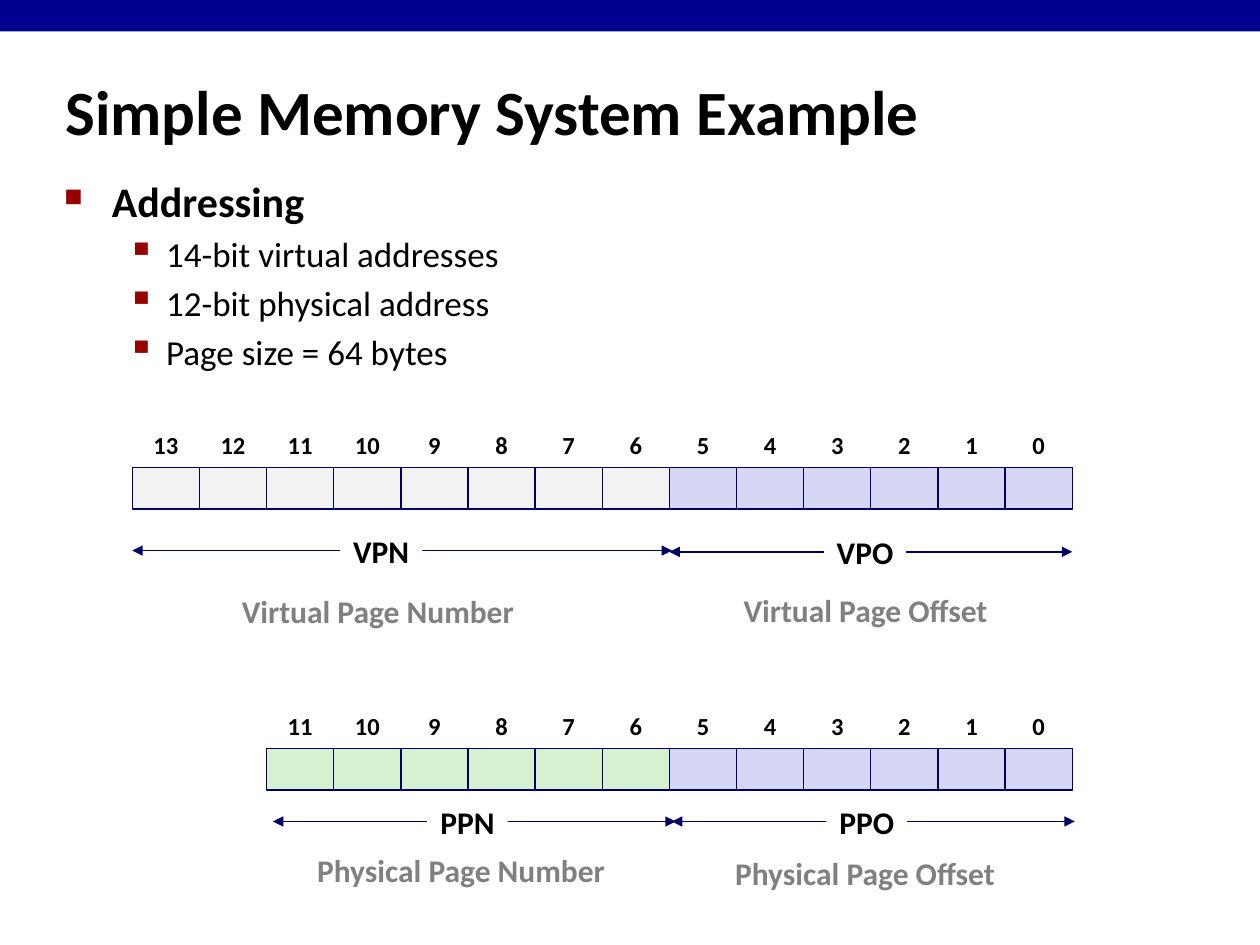
from dataclasses import dataclass

from lxml import etree
from pptx import Presentation
from pptx.dml.color import RGBColor
from pptx.enum.shapes import MSO_CONNECTOR, MSO_SHAPE
from pptx.enum.text import MSO_ANCHOR, PP_ALIGN
from pptx.oxml.ns import qn
from pptx.util import Inches, Pt

RECT, LINE = MSO_SHAPE.RECTANGLE, MSO_CONNECTOR.STRAIGHT
LEFT, CENTER = PP_ALIGN.LEFT, PP_ALIGN.CENTER
TOP, MIDDLE = MSO_ANCHOR.TOP, MSO_ANCHOR.MIDDLE


@dataclass(frozen=True)
class Theme:
    """Hold the font, colours and type sizes."""
    font: str = "Calibri"
    ink: str = "000000"
    gray: str = "808080"
    white: str = "FFFFFF"
    band: str = "000090"
    edge: str = "000066"
    mark: str = "990000"
    virtual: str = "F2F2F2"
    frame: str = "D5F1CF"
    offset: str = "D6D6F5"
    title: int = 36
    head: int = 24
    item: int = 20
    label: int = 18
    bit: int = 14


THEME = Theme()
COLS, START, END = 14, 1.05, 8.51
STEP = (END - START) / COLS
CELL = 0.33
SPLIT = 6


def col(n):
    """Return the left edge of a grid column."""
    return START + n * STEP


def box(left, top, width, height):
    """Turn a box in inches into lengths."""
    return [Inches(v) for v in (left, top, width, height)]


def style(para, size, color=THEME.ink, bold=True):
    """Format the runs of a paragraph."""
    for run in para.runs:
        font = run.font
        font.name, font.size, font.bold = THEME.font, Pt(size), bold
        font.color.rgb = RGBColor.from_string(color)


def rect(shapes, area, fill, edge=None):
    """Add a plain filled rectangle."""
    shape = shapes.add_shape(RECT, *box(*area))
    shape.shadow.inherit = False
    shape.fill.solid()
    shape.fill.fore_color.rgb = RGBColor.from_string(fill)
    if edge:
        shape.line.color.rgb = RGBColor.from_string(edge)
        shape.line.width = Pt(0.75)
    else:
        shape.line.fill.background()
    return shape


def write(shape, text, size, color=THEME.ink, before=6.8, anchor=TOP):
    """Set one centred line of text in a shape."""
    frame = shape.text_frame
    frame.text = text
    frame.word_wrap = False
    frame.vertical_anchor = anchor
    para = frame.paragraphs[0]
    para.alignment = CENTER
    para.line_spacing, para.space_before = 0.88, Pt(before)
    style(para, size, color)


def bullet(para, char, share, margin, hang):
    """Give a paragraph a coloured bullet and a hanging indent."""
    props = para._p.get_or_add_pPr()
    props.set("marL", str(Inches(margin)))
    props.set("indent", str(-Inches(hang)))
    tint = etree.SubElement(props, qn("a:buClr"))
    etree.SubElement(tint, qn("a:srgbClr"), val=THEME.mark)
    etree.SubElement(props, qn("a:buSzPct"), val=str(share * 1000))
    etree.SubElement(props, qn("a:buChar"), char=char)


def title(slide, text):
    """Place and format the title."""
    shape = slide.shapes.title
    shape.left, shape.top, shape.width, shape.height = box(0.42, 0.56, 7.99, 0.63)
    frame = shape.text_frame
    frame.text = text
    frame.vertical_anchor = MIDDLE
    frame.paragraphs[0].alignment = LEFT
    style(frame.paragraphs[0], THEME.title)


def outline(slide, head, items):
    """Add a bold heading with bulleted items below it."""
    frame = slide.shapes.add_textbox(*box(0.41, 1.34, 9.09, 1.73)).text_frame
    frame.word_wrap = True
    para = frame.paragraphs[0]
    para.text = head
    para.space_before = Pt(4.8)
    style(para, THEME.head)
    bullet(para, "■", 60, 0.38, 0.38)
    for item in items:
        para = frame.add_paragraph()
        para.text, para.level = item, 1
        para.space_before = Pt(4)
        style(para, THEME.item, bold=False)
        bullet(para, "▪", 110, 0.81, 0.31)


def bits(slide, count, top, fill):
    """Add a row of numbered bits that ends at the right of the grid."""
    for bit in reversed(range(count)):
        left = col(COLS - 1 - bit)
        shade = THEME.offset if bit < SPLIT else fill
        rect(slide.shapes, (left, top, STEP, CELL), shade, THEME.edge)
        note = slide.shapes.add_textbox(*box(left, top - CELL, STEP, CELL))
        write(note, str(bit), THEME.bit, before=5.2, anchor=MIDDLE)


def span(slide, start, end, row, text, left, width):
    """Add a two-headed arrow with a short name over it."""
    shapes = slide.shapes.add_group_shape().shapes
    line = shapes.add_connector(LINE, *box(start, row, end, row))
    line.line.color.rgb = RGBColor.from_string(THEME.edge)
    line.line.width = Pt(0.75)
    stroke = line.line._get_or_add_ln()
    for tip in ("a:headEnd", "a:tailEnd"):
        etree.SubElement(stroke, qn(tip), type="triangle")
    etree.SubElement(line._element.spPr, qn("a:effectLst"))
    write(rect(shapes, (left, row - 0.16, width, 0.36), THEME.white),
          text, THEME.label)


def caption(slide, left, top, width, text):
    """Add a gray full name."""
    shape = slide.shapes.add_textbox(*box(left, top, width, 0.36))
    write(shape, text, THEME.label, THEME.gray)


def main():
    """Build the slide and save it."""
    deck = Presentation()
    deck.slide_width, deck.slide_height = Inches(10), Inches(7.5)
    slide = deck.slides.add_slide(deck.slide_layouts[5])
    rect(slide.shapes, (0, 0, 10, 0.25), THEME.band)
    title(slide, "Simple Memory System Example")
    outline(slide, "Addressing", [
        "14-bit virtual addresses",
        "12-bit physical address",
        "Page size = 64 bytes",
    ])
    bits(slide, 14, 3.71, THEME.virtual)
    bits(slide, 12, 5.94, THEME.frame)
    mid = col(COLS - SPLIT)
    for args in (
        (mid, END, 4.38, "VPO", 6.54, 0.65),
        (mid + 0.02, END + 0.02, 6.52, "PPO", 6.56, 0.64),
        (col(2) + 0.05, mid + 0.05, 6.52, "PPN", 3.39, 0.64),
        (START, mid + 0.02, 4.37, "VPN", 2.7, 0.65),
    ):
        span(slide, *args)
    for args in (
        (1.81, 4.69, 2.38, "Virtual Page Number"),
        (5.79, 4.68, 2.16, "Virtual Page Offset"),
        (2.41, 6.74, 2.5, "Physical Page Number"),
        (5.72, 6.77, 2.29, "Physical Page Offset"),
    ):
        caption(slide, *args)
    deck.save("out.pptx")


if __name__ == "__main__":
    main()
